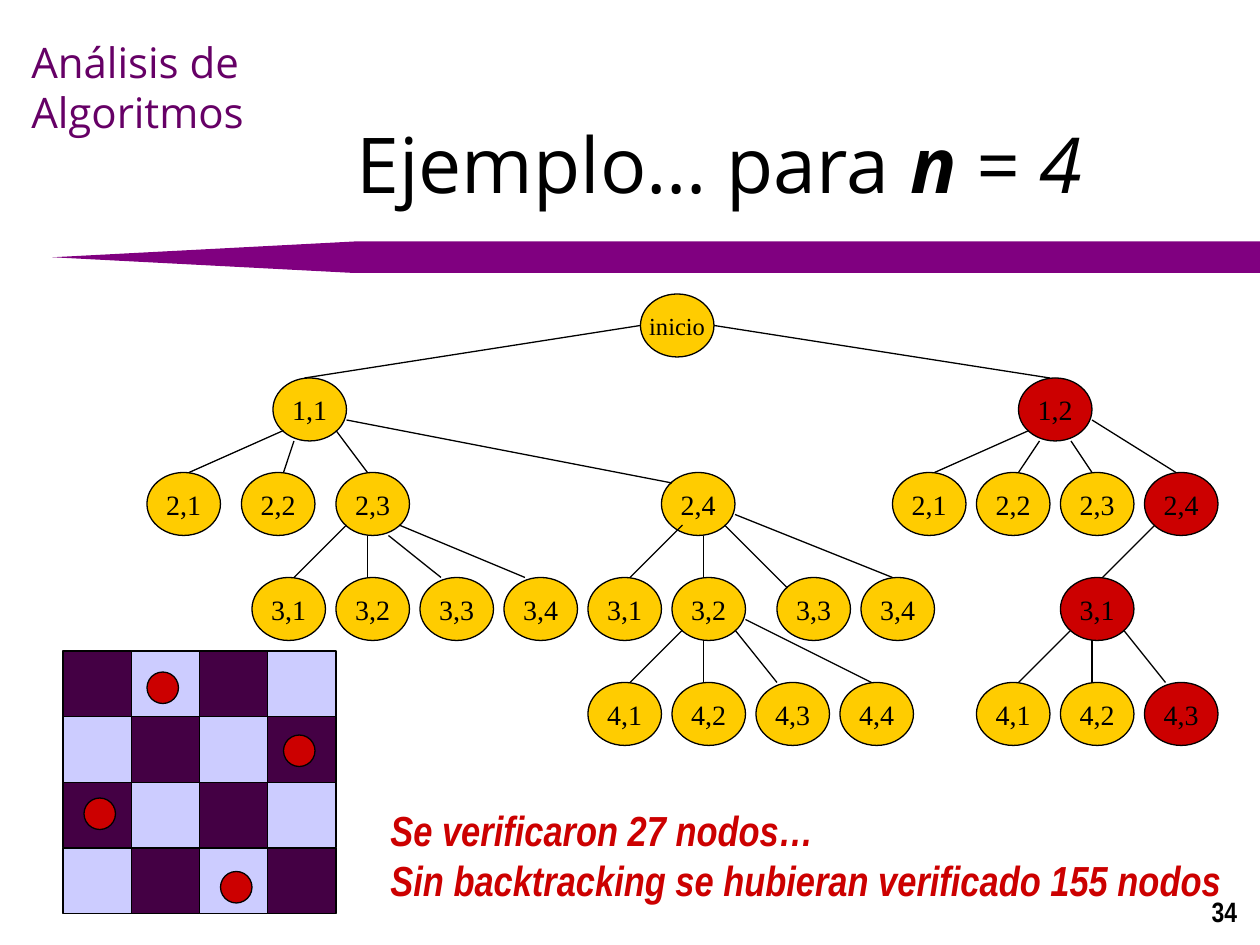
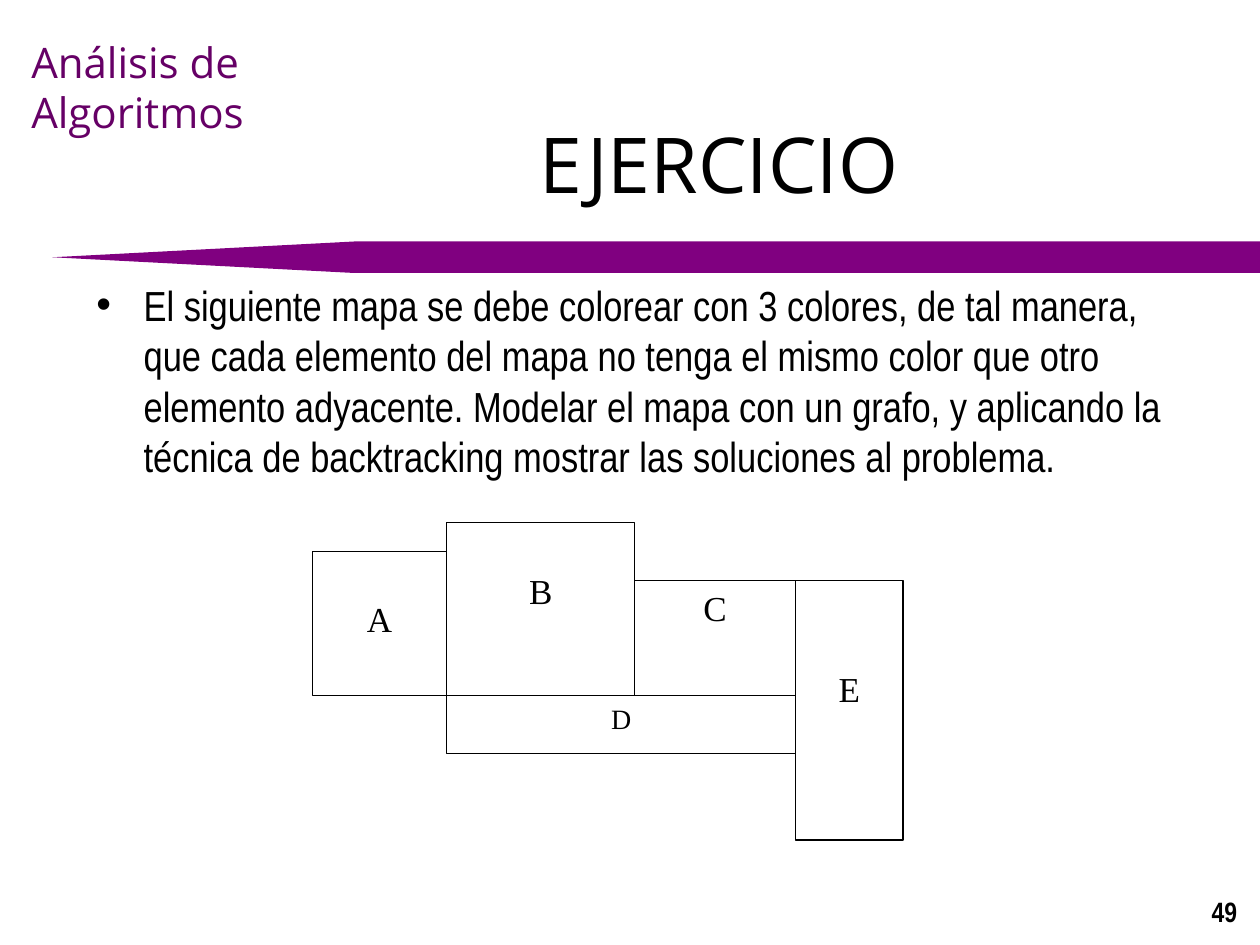
from dataclasses import dataclass

from lxml import etree
from pptx import Presentation
from pptx.dml.color import RGBColor
from pptx.enum import shapes, text
from pptx.oxml import ns
from pptx.util import Pt


@dataclass(frozen=True)
class Theme:
    band: str = "800080"
    course: str = "660066"
    ink: str = "000000"
    paper: str = "FFFFFF"
    node: str = "FFCC00"
    solution: str = "CC0000"
    dark_square: str = "440044"
    light_square: str = "CCCCFF"
    heading_font: str = "Open Sans"
    body_font: str = "Arial Narrow"
    label_font: str = "Times New Roman"
    title_size: float = 44
    body_size: float = 24
    letter_size: float = 20
    label_size: float = 16
    root_size: float = 14
    line_width: float = 0.75


THEME = Theme()
SHAPE = shapes.MSO_SHAPE
ANCHOR = text.MSO_ANCHOR
ALIGN = text.PP_ALIGN

HEADING = dict(name=THEME.heading_font, size=THEME.title_size, color=THEME.ink)
COURSE = dict(name=THEME.heading_font, size=THEME.body_size, color=THEME.course)
NUMBER = dict(name=THEME.body_font, size=THEME.label_size, color=THEME.ink, bold=True)
BODY = dict(name=THEME.body_font, size=THEME.body_size, color=THEME.ink)
RESULT = dict(BODY, color=THEME.solution, bold=True, italic=True)
LABEL = dict(name=THEME.label_font, size=THEME.label_size, color=THEME.ink)

# Search tree on a 6 pt grid:
# label, column, edge start on parent, edge end on node, in solution, children
STEP = 6
NODE_WIDTH, NODE_HEIGHT = 7, 6
LEVEL_ROWS = (0, 8, 17, 27, 37)
LEFT, BOTTOM, RIGHT, SIDE = (1, 5), (3, 6), (6, 5), (7, 4)
TOP, TOP_LEFT, TOP_RIGHT, CORNER = (3, 0), (2, 0), (4, 0), (1, 1)

TREE = ("inicio", 47, None, None, False, [
    ("1,1", 12, (0, 3), TOP, False, [
        ("2,1", 0, LEFT, TOP_RIGHT, False, []),
        ("2,2", 9, (2, 6), TOP_RIGHT, False, []),
        ("2,3", 18, RIGHT, TOP, False, [
            ("3,1", 10, LEFT, TOP_RIGHT, False, []),
            ("3,2", 18, BOTTOM, TOP, False, []),
            ("3,3", 26, (5, 6), TOP_LEFT, False, []),
            ("3,4", 34, RIGHT, TOP_LEFT, False, []),
        ]),
        ("2,4", 49, SIDE, CORNER, False, [
            ("3,1", 42, (2, 5), TOP_RIGHT, False, []),
            ("3,2", 50, (4, 6), TOP, False, [
                ("4,1", 42, LEFT, TOP_RIGHT, False, []),
                ("4,2", 50, BOTTOM, TOP, False, []),
                ("4,3", 58, RIGHT, TOP_LEFT, False, []),
                ("4,4", 66, SIDE, TOP, False, []),
            ]),
            ("3,3", 60, RIGHT, CORNER, False, []),
            ("3,4", 68, SIDE, TOP, False, []),
        ]),
    ]),
    ("1,2", 83, (7, 3), TOP, True, [
        ("2,1", 71, LEFT, TOP_RIGHT, False, []),
        ("2,2", 79, (2, 6), TOP_RIGHT, False, []),
        ("2,3", 87, (5, 6), TOP, False, []),
        ("2,4", 95, SIDE, TOP, True, [
            ("3,1", 87, LEFT, TOP_RIGHT, True, [
                ("4,1", 79, LEFT, TOP_RIGHT, False, []),
                ("4,2", 87, BOTTOM, TOP, False, []),
                ("4,3", 95, RIGHT, TOP_LEFT, True, []),
            ]),
        ]),
    ]),
])

# Queens: left and top inside the board
QUEENS = [(48, 12), (126, 48), (12, 84), (90, 126)]
QUEEN_SIZE = 18

# Regions: letter, left, top, right, bottom in map cells, lines above, size
MAP_COLUMNS, MAP_ROWS = 22, 11
REGIONS = [
    ("A", 0, 1, 5, 6, 1, THEME.letter_size),
    ("B", 5, 0, 12, 6, 1, THEME.letter_size),
    ("C", 12, 2, 18, 6, 0, THEME.letter_size),
    ("D", 5, 6, 18, 8, 0, THEME.label_size),
    ("E", 18, 2, 22, 11, 2, THEME.letter_size),
]


def points(values):
    return [Pt(value) for value in values]


def write(frame, lines, style, align=ALIGN.LEFT, anchor=ANCHOR.TOP, wrap=True):
    """Each line is a list of (text, format changes) runs."""
    frame.word_wrap = wrap
    frame.vertical_anchor = anchor
    for index, runs in enumerate(lines):
        paragraph = frame.add_paragraph() if index else frame.paragraphs[0]
        paragraph.alignment = align
        for words, changes in runs:
            run = paragraph.add_run()
            run.text = words
            for key, value in {**style, **changes}.items():
                if key == "color":
                    run.font.color.rgb = RGBColor.from_string(value)
                else:
                    setattr(run.font, key, Pt(value) if key == "size" else value)


def add_text(slide, box, lines, style, **layout):
    shape = slide.shapes.add_textbox(*points(box))
    write(shape.text_frame, lines, style, **layout)
    return shape


def add_figure(collection, kind, box, fill, outlined=True):
    shape = collection.add_shape(kind, *points(box))
    shape.shadow.inherit = False
    shape.fill.solid()
    shape.fill.fore_color.rgb = RGBColor.from_string(fill)
    if outlined:
        shape.line.color.rgb = RGBColor.from_string(THEME.ink)
        shape.line.width = Pt(THEME.line_width)
    else:
        shape.line.fill.background()
    return shape


def add_edge(slide, start, end):
    connector = slide.shapes.add_connector(
        shapes.MSO_CONNECTOR.STRAIGHT, *points((*start, *end)))
    connector.line.color.rgb = RGBColor.from_string(THEME.ink)
    connector.line.width = Pt(THEME.line_width)
    etree.SubElement(connector._element.spPr, ns.qn("a:effectLst"))


def add_frame(presentation, title_runs, number):
    """Slide with the shared band, course name, title and number."""
    slide = presentation.slides.add_slide(presentation.slide_layouts[6])
    band = add_figure(slide.shapes, SHAPE.PENTAGON, (30, 138, 690, 18),
                      THEME.band, outlined=False)
    band.adjustments[0] = 9.58
    band.rotation = 180
    add_text(slide, (10.8, 17.3, 163.4, 64.8),
             [[("Análisis de", {})], [("Algoritmos", {})]], COURSE)
    add_text(slide, (564, 516, 150, 18), [[(number, {})]], NUMBER,
             align=ALIGN.RIGHT, anchor=ANCHOR.BOTTOM)
    add_text(slide, (156, 48, 510, 90), [title_runs], HEADING,
             align=ALIGN.CENTER, anchor=ANCHOR.MIDDLE)
    return slide


def add_tree(slide, origin, node, level=0, parent=None):
    label, column, start, end, in_solution, children = node
    left = origin[0] + column * STEP
    top = origin[1] + LEVEL_ROWS[level] * STEP

    def grid_point(corner, offset):
        return [base + STEP * part for base, part in zip(corner, offset)]

    ellipse = add_figure(
        slide.shapes, SHAPE.OVAL,
        (left, top, NODE_WIDTH * STEP, NODE_HEIGHT * STEP),
        THEME.solution if in_solution else THEME.node)
    size = THEME.label_size if level else THEME.root_size
    write(ellipse.text_frame, [[(label, dict(size=size))]], LABEL,
          align=ALIGN.CENTER, anchor=ANCHOR.MIDDLE, wrap=False)
    if parent:
        add_edge(slide, grid_point(parent, start), grid_point((left, top), end))
    for child in children:
        add_tree(slide, origin, child, level + 1, (left, top))


def add_board(slide, box, count=4):
    left, top, width, height = box
    cell_width, cell_height = width / count, height / count
    squares = slide.shapes.add_group_shape().shapes
    for row in range(count):
        for column in range(count):
            light = (row + column) % 2
            add_figure(squares, SHAPE.RECTANGLE,
                       (left + column * cell_width, top + row * cell_height,
                        cell_width, cell_height),
                       THEME.light_square if light else THEME.dark_square)
    for queen_left, queen_top in QUEENS:
        add_figure(slide.shapes, SHAPE.OVAL,
                   (left + queen_left, top + queen_top, QUEEN_SIZE, QUEEN_SIZE),
                   THEME.solution)


def add_map(slide, box):
    left, top, width, height = box
    cell_width, cell_height = width / MAP_COLUMNS, height / MAP_ROWS
    regions = slide.shapes.add_group_shape().shapes
    for letter, x1, y1, x2, y2, lines_above, size in REGIONS:
        region = add_figure(
            regions, SHAPE.RECTANGLE,
            (left + x1 * cell_width, top + y1 * cell_height,
             (x2 - x1) * cell_width, (y2 - y1) * cell_height), THEME.paper)
        write(region.text_frame, [[(letter, dict(size=size))]], LABEL,
              align=ALIGN.CENTER)
        region.text_frame.margin_top = Pt(3.6 + lines_above * 1.15 * size)


def add_bullet(slide, box, words):
    shape = add_text(slide, box, [[(words, {})]], BODY)
    paragraph = shape.text_frame.paragraphs[0]
    paragraph.space_before = Pt(0.2 * THEME.body_size)
    properties = paragraph._p.get_or_add_pPr()
    properties.set("marL", str(Pt(27)))
    properties.set("indent", str(-Pt(27)))
    etree.SubElement(properties, ns.qn("a:buFont")).set("typeface", "Arial")
    etree.SubElement(properties, ns.qn("a:buChar")).set("char", "•")


def build_example(presentation):
    slide = add_frame(presentation, [
        ("Ejemplo… para ", {}),
        ("n ", dict(bold=True, italic=True)),
        ("= 4", dict(italic=True)),
    ], "34")
    add_tree(slide, (84, 168), TREE)
    add_text(slide, (216, 456, 492, 64.8), [
        [("Se verificaron 27 nodos…", {})],
        [("Sin backtracking se hubieran verificado 155 nodos", {})],
    ], RESULT)
    add_board(slide, (36, 372, 156, 150))


def build_exercise(presentation):
    slide = add_frame(presentation, [("EJERCICIO", {})], "49")
    add_bullet(slide, (48, 156, 636, 348),
               "El siguiente mapa se debe colorear con 3 colores, de tal manera, "
               "que cada elemento del mapa no tenga el mismo color que otro "
               "elemento adyacente. Modelar el mapa con un grafo, y aplicando la "
               "técnica de backtracking mostrar las soluciones al problema.")
    add_map(slide, (178.6, 298.6, 337.4, 181.5))


presentation = Presentation()
presentation.slide_width, presentation.slide_height = Pt(720), Pt(540)
build_example(presentation)
build_exercise(presentation)
presentation.save("out.pptx")
